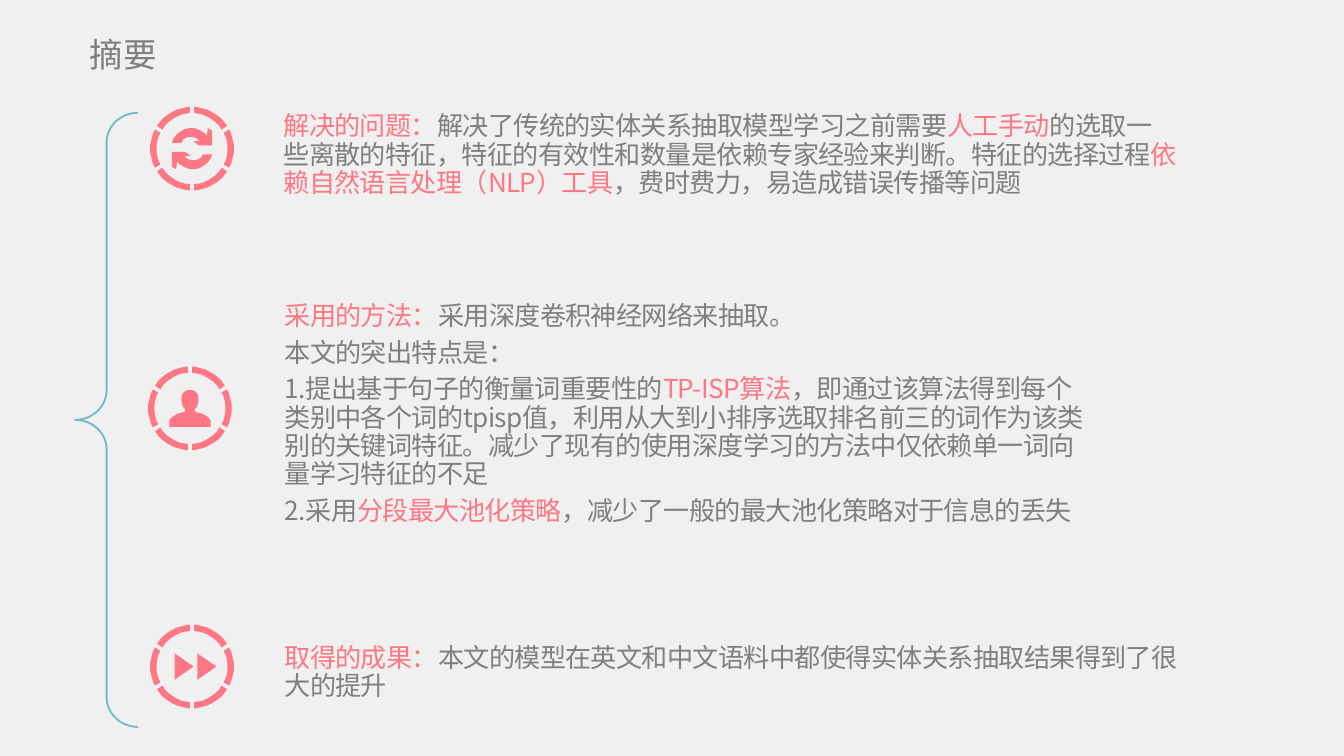
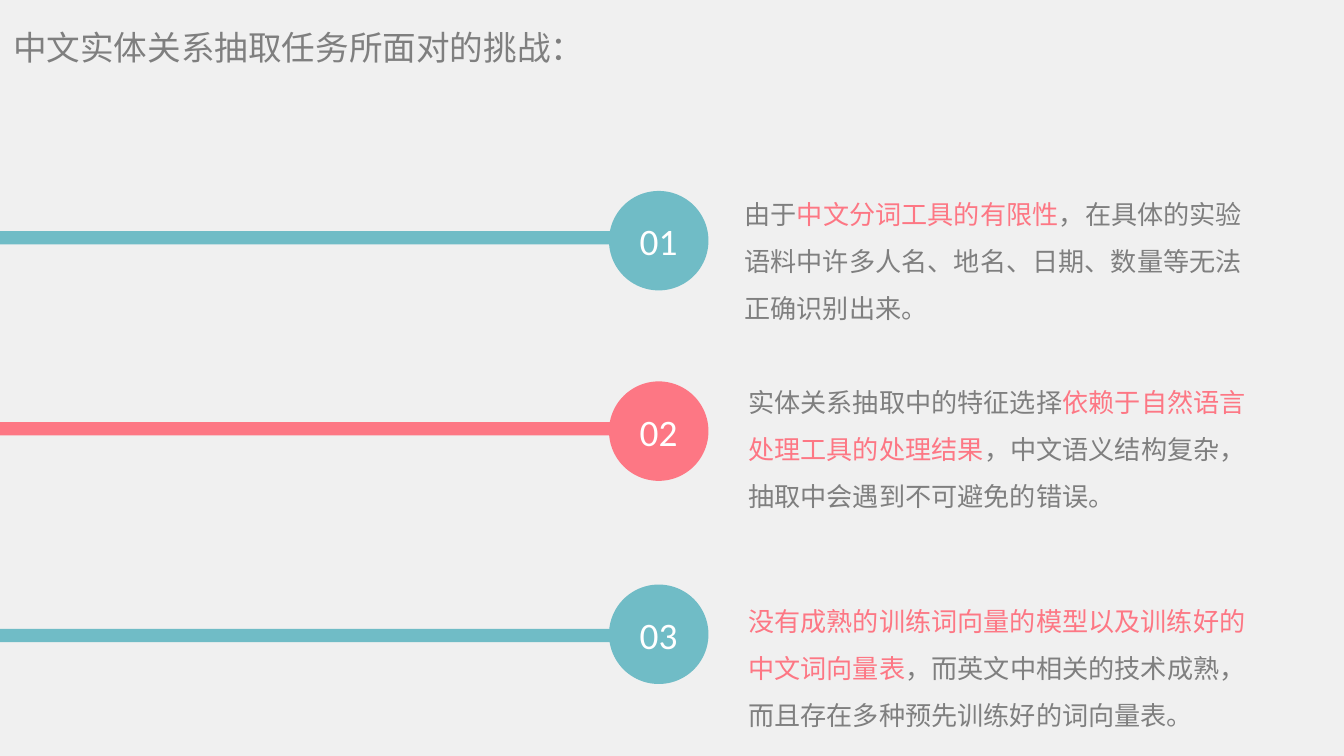
"""Build two slides: a paper abstract and the challenges of Chinese relation extraction."""
from dataclasses import dataclass
from math import cos, radians, sin

from pptx import Presentation
from pptx.dml.color import RGBColor as RGB
from pptx.enum.shapes import MSO_SHAPE as Shape
from pptx.enum.text import MSO_ANCHOR as Anchor, MSO_AUTO_SIZE as AutoSize, PP_ALIGN as Align
from pptx.oxml.ns import qn
from pptx.util import Cm, Pt


@dataclass(frozen=True)
class Theme:
    back: RGB = RGB(0xF0, 0xF0, 0xF0)
    teal: RGB = RGB(0x70, 0xBC, 0xC6)
    coral: RGB = RGB(0xFD, 0x77, 0x84)
    grey: RGB = RGB(0x7F, 0x7F, 0x7F)
    white: RGB = RGB(0xFF, 0xFF, 0xFF)
    font: str = "Noto Sans CJK SC"
    number_font: str = "Calibri"
    title: Pt = Pt(18)
    body: Pt = Pt(14)
    number: Pt = Pt(20)


T = Theme()

ABSTRACT_TITLE = "摘要"
CHALLENGE_TITLE = "中文实体关系抽取任务所面对的挑战："

ARROW = [(-38, 6), (-13, 6), (-3, 14), (-15, 14), (-10, 19, -5, 22, 3, 22),
         (10, 22, 18, 19, 20, 11), (38, 11), (33, 27, 18, 39, 3, 39),
         (-10, 39, -23, 32, -28, 24), (-30, 39), (-38, 34)]
PERSON = [(39, 35), (-39, 35), (-39, 26), (-39, 21, -37, 18, -33, 16),
          (-28, 11, -18, 9, -9, 6), (-9, 2), (-20, -9, -20, -35, 0, -35),
          (20, -35, 20, -9, 9, 2), (9, 6), (18, 9, 28, 11, 33, 16),
          (37, 18, 39, 21, 39, 26)]
GLYPHS = {
    "refresh": [ARROW, [tuple(-v for v in step) for step in ARROW]],
    "person": [PERSON],
    "forward": [[(x, -25), (x + 36, 0), (x, 25)] for x in (-33, 10)],
}

# Asterisks enclose the coral passages.
SECTIONS = [
    ("refresh", (3.63, 2.81), (5.36, 2.13, 16.87, 1.63), [
        "*解决的问题：*解决了传统的实体关系抽取模型学习之前需要*人工手动*的选取一些离散的特征，"
        "特征的有效性和数量是依赖专家经验来判断。特征的选择过程"
        "*依赖自然语言处理（NLP）工具*，费时费力，易造成错误传播等问题"]),
    ("person", (3.59, 7.72), (5.38, 5.69, 15.29, 4.29), [
        "*采用的方法：*采用深度卷积神经网络来抽取。",
        "本文的突出特点是：",
        "1.提出基于句子的衡量词重要性的*TP-ISP算法*，即通过该算法得到每个类别中各个词的tpisp值，"
        "利用从大到小排序选取排名前三的词作为该类别的关键词特征。"
        "减少了现有的使用深度学习的方法中仅依赖单一词向量学习特征的不足",
        "2.采用*分段最大池化策略*，减少了一般的最大池化策略对于信息的丢失"]),
    ("forward", (3.63, 12.6), (5.38, 12.19, 16.87, 1.07), [
        "*取得的成果：*本文的模型在英文和中文语料中都使得实体关系抽取结果得到了很大的提升"]),
]

CHALLENGES = [
    (T.teal, 4.37, 3.61, (13.82, 3.33),
     "由于*中文分词工具的有限性*，在具体的实验语料中许多人名、地名、日期、数量等无法正确识别出来。"),
    (T.coral, 7.98, 7.21, (13.89, 6.88),
     "实体关系抽取中的特征选择*依赖于自然语言处理工具的处理结果*，"
     "中文语义结构复杂，抽取中会遇到不可避免的错误。"),
    (T.teal, 11.89, 11.05, (13.89, 11.02),
     "*没有成熟的训练词向量的模型以及训练好的中文词向量表*，"
     "而英文中相关的技术成熟，而且存在多种预先训练好的词向量表。"),
]


def style_run(r, size, color, font=T.font, spacing=None):
    r.font.size, r.font.name, r.font.color.rgb = size, font, color
    rpr = r._r.get_or_add_rPr()
    rpr.makeelement(qn("a:ea"), {})
    ea = rpr.makeelement(qn("a:ea"), {"typeface": font})
    rpr.find(qn("a:latin")).addnext(ea)
    if spacing is not None:
        rpr.set("spc", str(spacing))


def add_text(s, box, paragraphs, size=T.body, insets=(0.25, 0.13), anchor=Anchor.TOP,
             grow=True, line=None, after=None, spacing=None):
    tf = s.shapes.add_textbox(*map(Cm, box)).text_frame
    tf.word_wrap, tf.vertical_anchor = True, anchor
    tf.auto_size = AutoSize.SHAPE_TO_FIT_TEXT if grow else AutoSize.NONE
    tf.margin_left = tf.margin_right = Cm(insets[0])
    tf.margin_top = tf.margin_bottom = Cm(insets[1])
    for i, text in enumerate(paragraphs):
        p = tf.add_paragraph() if i else tf.paragraphs[0]
        p.line_spacing, p.space_after = line, after
        for j, piece in enumerate(text.split("*")):
            if piece:
                r = p.add_run()
                r.text = piece
                style_run(r, size, T.coral if j % 2 else T.grey, spacing=spacing)


def add_title(s, text, left, top, width):
    add_text(s, (left, top, width, 1.07), [text], T.title, (0, 0.13), Anchor.MIDDLE, False)


def fill_shape(sp, color):
    sp.shadow.inherit = False
    sp.fill.solid()
    sp.fill.fore_color.rgb = color
    sp.line.fill.background()


def flatten(contour, steps=8):
    points = []
    for step in contour:
        if len(step) == 2:
            points.append(step)
            continue
        (x0, y0), (x1, y1, x2, y2, x3, y3) = points[-1], step
        for t in (k / steps for k in range(1, steps + 1)):
            u = 1 - t
            a, b, c, d = u ** 3, 3 * u * u * t, 3 * u * t * t, t ** 3
            points.append((a * x0 + b * x1 + c * x2 + d * x3,
                           a * y0 + b * y1 + c * y2 + d * y3))
    return points


def ring_segment(start, outer=79, inner=67):
    angles = [radians(start + a) for a in range(3, 58, 3)]
    return ([(outer * sin(a), -outer * cos(a)) for a in angles]
            + [(inner * sin(a), -inner * cos(a)) for a in reversed(angles)])


def add_outline(group, center, contours):
    cx, cy = (100 * v for v in center)
    builder = None
    for contour in contours:
        first, *rest = [(cx + x, cy + y) for x, y in flatten(contour)]
        if builder is None:
            builder = group.shapes.build_freeform(*first, scale=Cm(0.01))
        else:
            builder.move_to(*first)
        builder.add_line_segments(rest, close=True)
    fill_shape(builder.convert_to_shape(), T.coral)


def add_icon(s, center, glyph):
    group = s.shapes.add_group_shape()
    add_outline(group, center, GLYPHS[glyph])
    for start in range(0, 360, 60):
        add_outline(group, center, [ring_segment(start)])


def build_abstract(s):
    for glyph, center, box, paragraphs in SECTIONS:
        add_text(s, box, paragraphs, insets=(0, 0), anchor=Anchor.MIDDLE,
                 line=0.9, after=Pt(4.6), spacing=-40)
        add_icon(s, center, glyph)
    brace = s.shapes.add_shape(Shape.RIGHT_BRACE, Cm(1.42), Cm(2.13), Cm(1.19), Cm(11.61))
    brace.rotation = 180
    brace.adjustments[0], brace.adjustments[1] = 0.47, 0.5
    brace.shadow.inherit = False
    brace.fill.background()
    brace.line.color.rgb, brace.line.width = T.teal, Pt(1)
    add_title(s, ABSTRACT_TITLE, 1.7, 0.48, 5.92)


def build_challenges(s):
    add_title(s, CHALLENGE_TITLE, 0.25, 0.36, 12.19)
    for n, (color, bar_top, disc_top, text_at, text) in enumerate(CHALLENGES, 1):
        bar = s.shapes.add_shape(Shape.RECTANGLE, 0, Cm(bar_top), Cm(12.04), Cm(0.25))
        fill_shape(bar, color)
        disc = s.shapes.add_shape(Shape.OVAL, Cm(11.51), Cm(disc_top), Cm(1.88), Cm(1.88))
        fill_shape(disc, color)
        tf = disc.text_frame
        tf.text = f"{n:02d}"
        tf.vertical_anchor = Anchor.MIDDLE
        p = tf.paragraphs[0]
        p.alignment = Align.CENTER
        style_run(p.runs[0], T.number, T.white, T.number_font)
        add_text(s, (*text_at, 10.39, 2.95), [text], line=1.5)


def main():
    prs = Presentation()
    prs.slide_width, prs.slide_height = Cm(25.4), Cm(14.29)
    back = prs.slide_master.background.fill
    back.solid()
    back.fore_color.rgb = T.back
    for build in (build_abstract, build_challenges):
        build(prs.slides.add_slide(prs.slide_layouts[6]))
    prs.save("out.pptx")


if __name__ == "__main__":
    main()
